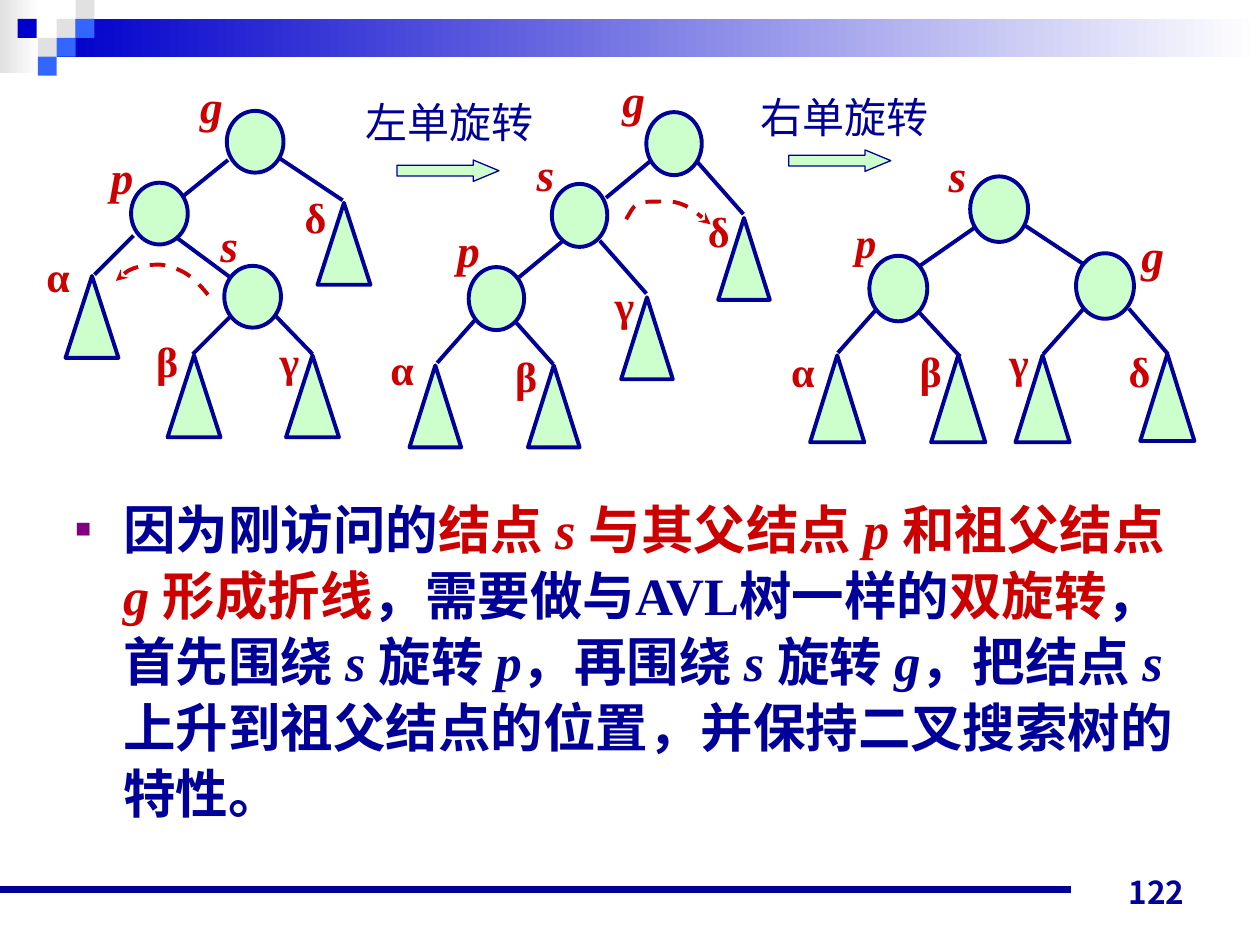
"""Build a slide showing a zig-zag double rotation in a splay tree."""
from lxml.etree import SubElement
from pptx import Presentation
from pptx.dml.color import RGBColor
from pptx.enum.dml import MSO_LINE
from pptx.enum.lang import MSO_LANGUAGE_ID
from pptx.enum.shapes import MSO_CONNECTOR, MSO_SHAPE
from pptx.enum.text import MSO_ANCHOR, PP_ALIGN
from pptx.oxml.ns import qn
from pptx.util import Pt

SCALE = 9144
LATIN, ASIAN = "Times New Roman", "Noto Sans CJK JP"
COLORS = {"navy": "000099", "blue": "0000CC", "sky": "3366FF", "gray": "E1E1E1",
          "white": "FFFFFF", "green": "CCFFCC", "red": "CC0000", "purple": "800080"}

BANDS = [((0, 0, 31, 58), "gray"), ((45, 15, 955, 30), "blue")]
SQUARES = [(45, 15, "gray"), (60, 0, "gray"), (60, 15, "sky"), (30, 30, "gray"),
           (14, 15, "blue"), (45, 30, "sky"), (30, 45, "sky")]

TREES = [
    {"circle": (45, 49), "triangle": (42, 65),
     "edges": [(138, 187, 188, 224), (183, 251, 153, 281), (219, 251, 248, 281),
               (181, 127, 145, 156), (106, 187, 75, 218), (221, 125, 272, 159)],
     "nodes": [("p", 104, 145, 78, 113, 26), ("g", 180, 88, 149, 57, 26),
               ("s", 178, 211, 165, 167, 26)],
     "subtrees": [("α", 52, 219, 27, 194), ("β", 133, 282, 114, 261),
                  ("γ", 227, 282, 212, 261), ("δ", 252, 161, 232, 147)]},
    {"circle": (44, 50), "triangle": (41, 65),
     "edges": [(377, 254, 347, 288), (407, 253, 439, 289), (516, 128, 481, 157),
               (476, 191, 513, 233), (447, 191, 412, 220), (553, 128, 590, 170)],
     "nodes": [("s", 438, 146, 416, 111, 26), ("g", 513, 89, 484, 52, 26),
               ("p", 372, 212, 353, 171, 26)],
     "subtrees": [("α", 325, 290, 300, 268), ("β", 419, 290, 399, 273),
                  ("γ", 493, 236, 478, 217), ("δ", 570, 173, 552, 158)]},
    {"circle": (46, 52), "triangle": (43, 69),
     "edges": [(860, 245, 828, 281), (724, 242, 762, 283), (896, 245, 927, 281),
               (812, 178, 862, 211), (776, 179, 730, 211), (696, 245, 665, 280)],
     "nodes": [("p", 690, 203, 669, 167, 24), ("g", 854, 201, 896, 175, 26),
               ("s", 770, 140, 743, 112, 26)],
     "subtrees": [("α", 643, 282, 618, 269), ("β", 739, 282, 720, 269),
                  ("γ", 806, 282, 791, 262), ("δ", 905, 281, 886, 269)]},
]
ROTATIONS = [("左单旋转", (280, 72, 153, 50), (315, 127, 81, 17)),
             ("右单旋转", (594, 68, 153, 50), (626, 119, 81, 17))]
CURVES = [
    ("headEnd", [(92, 223), (96, 219), (101, 215), (106, 213), (112, 211), (120, 210),
                 (127, 210), (135, 211), (143, 214), (149, 218), (155, 222),
                 (163, 231), (165, 234)]),
    ("tailEnd", [(497, 174), (500, 169), (502, 164), (506, 162), (510, 160), (514, 160),
                 (520, 160), (526, 160), (534, 159), (541, 162), (549, 165),
                 (560, 175), (564, 178)]),
]
BODY = [("因为刚访问的", "navy", False), ("结点 ", "red", False), ("s ", "red", True),
        ("与其父结点 ", "red", False), ("p ", "red", True), ("和祖父结点", "red", False),
        ("g ", "red", True), ("形成折线", "red", False),
        ("，需要做与AVL树一样的", "navy", False), ("双旋转", "red", False),
        ("，首先围绕 ", "navy", False), ("s ", "navy", True), ("旋转 ", "navy", False),
        ("p", "navy", True), ("，再围绕 ", "navy", False), ("s ", "navy", True),
        ("旋转 ", "navy", False), ("g", "navy", True), ("，把结点 ", "navy", False),
        ("s", "navy", True), ("上升到祖父结点的位置，并保持二叉搜索树的特性。", "navy", False)]


def px(*values):
    return [value * SCALE for value in values]


def rgb(name):
    return RGBColor.from_string(COLORS[name])


def add_figure(slide, kind, box, fill, line_width=0):
    shape = slide.shapes.add_shape(kind, *px(*box))
    shape.shadow.inherit = False
    shape.fill.solid()
    shape.fill.fore_color.rgb = rgb(fill)
    if line_width:
        shape.line.color.rgb = rgb("navy")
        shape.line.width = Pt(line_width)
    else:
        shape.line.fill.background()
    return shape


def add_line(slide, ends, width):
    line = slide.shapes.add_connector(MSO_CONNECTOR.STRAIGHT, *px(*ends))
    line.line.color.rgb = rgb("navy")
    line.line.width = Pt(width)
    SubElement(line.element.spPr, qn("a:effectLst"))


def add_text(slide, box, runs, size=24, font=LATIN, bold=True, wrap=True,
             align=PP_ALIGN.LEFT, anchor=MSO_ANCHOR.TOP):
    frame = slide.shapes.add_textbox(*px(*box)).text_frame
    frame.word_wrap = wrap
    frame.vertical_anchor = anchor
    paragraph = frame.paragraphs[0]
    paragraph.alignment = align
    for text, color, italic in runs:
        run = paragraph.add_run()
        run.text = text
        run.font.size, run.font.name = Pt(size), font
        run.font.bold, run.font.italic = bold, italic
        run.font.color.rgb = rgb(color)
        run.font.language_id = MSO_LANGUAGE_ID.SIMPLIFIED_CHINESE
        asian = SubElement(run.font._element, qn("a:ea"))
        asian.set("typeface", ASIAN)
    return paragraph


def add_bullet(paragraph):
    properties = paragraph._p.get_or_add_pPr()
    indent = 38 * SCALE
    properties.set("marL", str(indent))
    properties.set("indent", str(-indent))
    color = SubElement(properties, qn("a:buClr"))
    SubElement(color, qn("a:srgbClr"), val=COLORS["purple"])
    SubElement(properties, qn("a:buSzPct"), val="50000")
    SubElement(properties, qn("a:buFont"), typeface="Arial")
    SubElement(properties, qn("a:buChar"), char="■")


def add_curve(slide, arrow_end, points):
    builder = slide.shapes.build_freeform(*points[0], scale=SCALE)
    builder.add_line_segments(points[1:], close=False)
    shape = builder.convert_to_shape()
    shape.shadow.inherit = False
    shape.fill.background()
    shape.line.color.rgb = rgb("red")
    shape.line.width = Pt(2.25)
    shape.line.dash_style = MSO_LINE.DASH
    SubElement(shape.line._get_or_add_ln(), qn(f"a:{arrow_end}"), type="stealth")
    outline = next(shape.element.iter(qn("a:path")))
    segments = outline.findall(qn("a:lnTo"))
    for start in range(0, len(segments), 3):
        cubic = SubElement(outline, qn("a:cubicBezTo"))
        for segment in segments[start:start + 3]:
            cubic.append(segment[0])
            outline.remove(segment)


def add_tree(slide, tree):
    for ends in tree["edges"]:
        add_line(slide, ends, 2.25)
    for name, left, top, label_left, label_top, size in tree["nodes"]:
        add_figure(slide, MSO_SHAPE.OVAL, (left, top, *tree["circle"]), "green", 2.25)
        add_text(slide, (label_left, label_top, 71, 70), [(name, "red", True)],
                 size=size, align=PP_ALIGN.JUSTIFY)
    for name, left, top, label_left, label_top in tree["subtrees"]:
        add_figure(slide, MSO_SHAPE.ISOSCELES_TRIANGLE,
                   (left, top, *tree["triangle"]), "green", 2.25)
        add_text(slide, (label_left, label_top, 71, 68), [(name, "red", False)],
                 align=PP_ALIGN.JUSTIFY)


def main():
    presentation = Presentation()
    presentation.slide_width, presentation.slide_height = px(1000, 750)
    slide = presentation.slides.add_slide(presentation.slide_layouts[6])

    for box, color in BANDS:
        fill = add_figure(slide, MSO_SHAPE.RECTANGLE, box, color).fill
        fill.gradient()
        fill.gradient_angle = 0
        for stop, name in zip(fill.gradient_stops, (color, "white")):
            stop.color.rgb = rgb(name)
    for left, top, color in SQUARES:
        add_figure(slide, MSO_SHAPE.RECTANGLE, (left, top, 15, 15), color)
    add_line(slide, (0, 706, 850, 706), 4.5)
    add_text(slide, (717, 678, 233, 50), [("122", "navy", False)], size=18,
             font=ASIAN, align=PP_ALIGN.RIGHT, anchor=MSO_ANCHOR.BOTTOM)

    paragraph = add_text(slide, (50, 387, 900, 299), BODY, size=30)
    paragraph.line_spacing = 1.05
    add_bullet(paragraph)

    for tree in TREES:
        add_tree(slide, tree)
    for arrow_end, points in CURVES:
        add_curve(slide, arrow_end, points)
    for caption, caption_box, arrow_box in ROTATIONS:
        arrow = add_figure(slide, MSO_SHAPE.RIGHT_ARROW, arrow_box, "green", 0.75)
        arrow.adjustments[1] = 1.2
        add_text(slide, caption_box, [(caption, "navy", False)], font="Arial",
                 bold=False, wrap=False)
    presentation.save("out.pptx")


if __name__ == "__main__":
    main()
